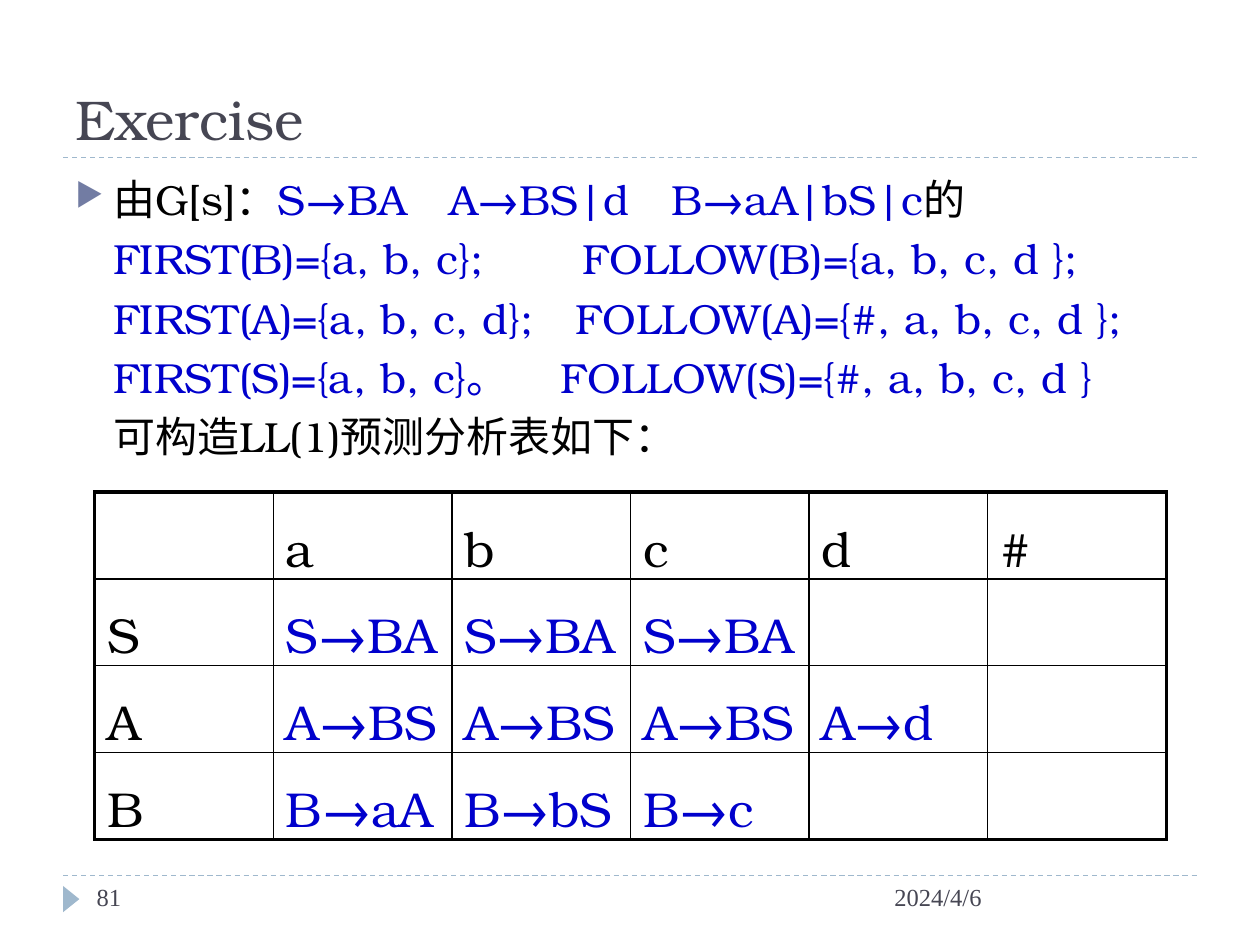
from lxml import etree
from pptx import Presentation
from pptx.dml.color import RGBColor
from pptx.enum.dml import MSO_LINE
from pptx.enum.shapes import MSO_CONNECTOR, MSO_SHAPE
from pptx.enum.text import MSO_ANCHOR
from pptx.oxml.ns import qn
from pptx.util import Cm, Pt

DASH = MSO_LINE.DASH
STRAIGHT = MSO_CONNECTOR.STRAIGHT
TRIANGLE = MSO_SHAPE.ISOSCELES_TRIANGLE
TOP, MIDDLE, BOTTOM = MSO_ANCHOR.TOP, MSO_ANCHOR.MIDDLE, MSO_ANCHOR.BOTTOM

COLORS = {"text": "000000", "answer": "0000CC", "heading": "464653",
          "accent": "9FB8CD", "bullet": "727CA3"}
SERIF, FOOTER_FONT = "TeX Gyre Bonum", "Times New Roman"

# Content: each line is a list of (text, color); a number is a wide gap in points
TITLE = "Exercise"
GRAMMAR_GAP = 24.5
EXERCISE_LINES = [
    [("由G[s]：", "text"), ("S→BA", "answer"), GRAMMAR_GAP,
     ("A→BS|d", "answer"), GRAMMAR_GAP, ("B→aA|bS|c", "answer"), ("的", "text")],
    [("FIRST(B)={a, b, c};", "answer"), 57,
     ("FOLLOW(B)={a, b, c, d };", "answer")],
    [("FIRST(A)={a, b, c, d};", "answer"), 24.5,
     ("FOLLOW(A)={#, a, b, c, d };", "answer")],
    [("FIRST(S)={a, b, c}。", "answer"), 32.5,
     ("FOLLOW(S)={#, a, b, c, d }", "answer")],
    [("可构造LL(1)预测分析表如下：", "text")],
]
PARSE_TABLE = [
    ["", "a", "b", "c", "d", "#"],
    ["S", "S→BA", "S→BA", "S→BA", "", ""],
    ["A", "A→BS", "A→BS", "A→BS", "A→d", ""],
    ["B", "B→aA", "B→bS", "B→c", "", ""],
]
FOOTERS = [("2024/4/6", 17.78, 6.35), ("81", 1.7, 5.51)]

# Layout in cm
LEFT, WIDTH = 1.27, 22.86
TITLE_RULE, FOOTER_RULE = 3.18, 17.65
INDENT = 0.76
COLUMN_WIDTH, ROW_HEIGHT = 3.6, 1.75
SPACE_WIDTH = 0.34  # of the font size


def rgb(name):
    return RGBColor.from_string(COLORS[name])


def add_run(paragraph, text, size, color, font=SERIF):
    run = paragraph.add_run()
    run.text = text
    run.font.size = Pt(size)
    run.font.name = font
    run.font.color.rgb = rgb(color)
    return run


def add_gap(paragraph, width, size):
    """One space, widened by character spacing."""
    space = add_run(paragraph, " ", size, "answer")
    extra = width - SPACE_WIDTH * size
    space.font._element.set("spc", str(round(extra * 100)))


def add_text_frame(slide, left, top, width, height, anchor=TOP):
    frame = slide.shapes.add_textbox(Cm(left), Cm(top), Cm(width), Cm(height)).text_frame
    frame.word_wrap = True
    frame.vertical_anchor = anchor
    return frame


def add_bullet(paragraph):
    props = paragraph._p.get_or_add_pPr()
    props.set("indent", str(-Cm(INDENT)))
    color = etree.SubElement(props, qn("a:buClr"))
    etree.SubElement(color, qn("a:srgbClr"), val=COLORS["bullet"])
    etree.SubElement(props, qn("a:buSzPct"), val="76000")
    etree.SubElement(props, qn("a:buChar"), char="▶")


def add_rule(slide, y):
    rule = slide.shapes.add_connector(STRAIGHT, Cm(LEFT), Cm(y), Cm(LEFT + WIDTH), Cm(y))
    rule.line.color.rgb = rgb("accent")
    rule.line.width = Pt(0.75)
    rule.line.dash_style = DASH
    etree.SubElement(rule._element.spPr, qn("a:effectLst"))


def set_borders(cell, outer_sides):
    props = cell._tc.get_or_add_tcPr()
    for position, side in enumerate("LRTB"):
        width = Pt(2.25 if side in outer_sides else 1)
        border = etree.Element(qn("a:ln" + side), w=str(width))
        fill = etree.SubElement(border, qn("a:solidFill"))
        etree.SubElement(fill, qn("a:srgbClr"), val=COLORS["text"])
        props.insert(position, border)


def add_parse_table(slide):
    rows, columns = len(PARSE_TABLE), len(PARSE_TABLE[0])
    table = slide.shapes.add_table(rows, columns, Cm(1.91), Cm(9.92),
                                   Cm(columns * COLUMN_WIDTH), Cm(rows * ROW_HEIGHT)).table
    table.first_row = table.horz_banding = False
    for r, entries in enumerate(PARSE_TABLE):
        for c, entry in enumerate(entries):
            cell = table.cell(r, c)
            cell.fill.background()
            cell.vertical_anchor = MIDDLE
            edges = {"L": c == 0, "R": c == columns - 1, "T": r == 0, "B": r == rows - 1}
            set_borders(cell, [side for side, is_outer in edges.items() if is_outer])
            if entry:
                paragraph = cell.text_frame.paragraphs[0]
                paragraph.line_spacing = 1.25
                add_run(paragraph, entry, 28, "answer" if r and c else "text")


def main():
    prs = Presentation()
    prs.slide_width, prs.slide_height = Cm(25.4), Cm(19.05)
    slide = prs.slides.add_slide(prs.slide_layouts[6])

    # Dashed rules and page marker
    for y in (FOOTER_RULE, TITLE_RULE):
        add_rule(slide, y)
    marker = slide.shapes.add_shape(TRIANGLE, Cm(1.17), Cm(17.96), Cm(0.53), Cm(0.33))
    marker.rotation = 90
    marker.shadow.inherit = False
    marker.fill.solid()
    marker.fill.fore_color.rgb = rgb("accent")
    marker.line.fill.background()

    # Title
    title = add_text_frame(slide, LEFT, 0.43, WIDTH, 2.75, BOTTOM)
    add_run(title.paragraphs[0], TITLE, 32, "heading")

    # Grammar with its FIRST and FOLLOW sets
    exercise = add_text_frame(slide, LEFT, 3.38, WIDTH, 6.15)
    for i, line in enumerate(EXERCISE_LINES):
        paragraph = exercise.add_paragraph() if i else exercise.paragraphs[0]
        paragraph.space_before = Pt(5 if i else 6)
        paragraph._p.get_or_add_pPr().set("marL", str(Cm(INDENT)))
        if i == 0:
            add_bullet(paragraph)
        for part in line:
            if isinstance(part, tuple):
                text, color = part
                add_run(paragraph, text, 24, color)
            else:
                add_gap(paragraph, part, 24)

    add_parse_table(slide)

    # Date and page number
    for text, left, width in FOOTERS:
        footer = add_text_frame(slide, left, FOOTER_RULE, width, 1.02)
        add_run(footer.paragraphs[0], text, 14, "heading", FOOTER_FONT)

    prs.save("out.pptx")


if __name__ == "__main__":
    main()
